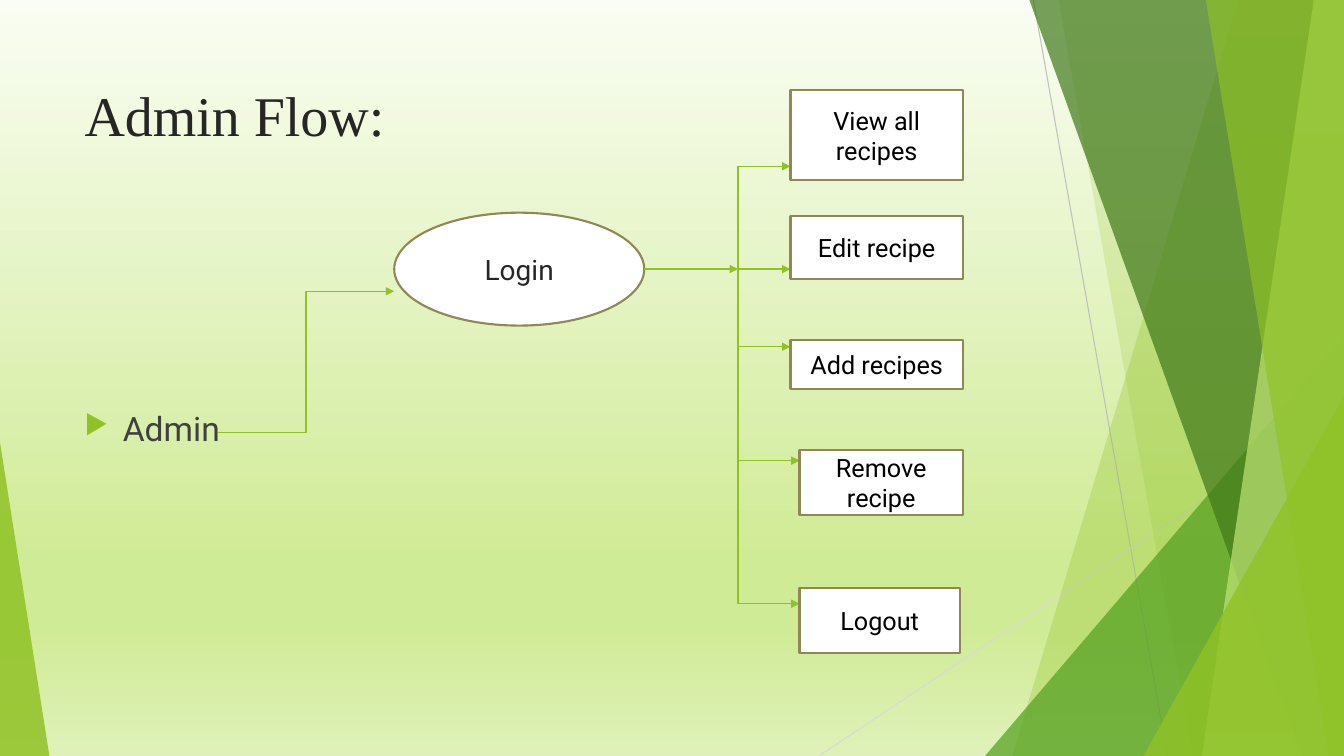
from dataclasses import dataclass
from typing import Any

from lxml import etree
from pptx import Presentation
from pptx.dml.color import RGBColor
from pptx.enum.shapes import MSO_CONNECTOR, MSO_SHAPE
from pptx.enum.text import MSO_ANCHOR, PP_ALIGN
from pptx.oxml.ns import qn
from pptx.util import Emu, Pt

PX = 9144
WIDTH, HEIGHT = 1333, 750
STRAIGHT, ELBOW = MSO_CONNECTOR.STRAIGHT, MSO_CONNECTOR.ELBOW
RECT, OVAL = MSO_SHAPE.RECTANGLE, MSO_SHAPE.OVAL
TRIANGLE = MSO_SHAPE.ISOSCELES_TRIANGLE
TOP, MIDDLE = MSO_ANCHOR.TOP, MSO_ANCHOR.MIDDLE
LEFT, CENTER = PP_ALIGN.LEFT, PP_ALIGN.CENTER


@dataclass(frozen=True)
class Theme:
    green: str = "90C226"
    leaf: str = "54A021"
    forest: str = "3F7819"
    lime: str = "C0E474"
    border: str = "918655"
    white: str = "FFFFFF"
    black: str = "000000"
    title: str = "262626"
    body: str = "404040"
    gray: str = "BFBFBF"
    light_gray: str = "D9D9D9"
    serif: str = "Times New Roman"
    sans: str = "Roboto"
    title_size: int = 40
    body_size: int = 24
    login_size: int = 20
    box_size: int = 18
    background: tuple[tuple[int, str], ...] = (
        (0, "FAFDF3"), (74, "D0EB96"), (83, "D0EB96"), (100, "DFF1B9"))


T = Theme()


@dataclass(frozen=True)
class Facet:
    top: int
    bottom: int
    color: str
    alpha: int


@dataclass(frozen=True)
class Corner:
    x: int
    y: int
    w: int
    apex: int
    color: str
    alpha: int


@dataclass(frozen=True)
class Label:
    text: str
    size: int
    font: str
    color: str


@dataclass(frozen=True)
class Step:
    text: str
    x: int
    y: int
    w: int
    h: int
    arrow_y: int


DECOR = (
    Facet(1228, 1004, T.green, 30),
    Facet(1050, 1183, T.green, 20),
    Corner(977, 333, 356, 1, T.leaf, 72),
    Facet(1021, 1291, T.forest, 70),
    Facet(1303, 1192, T.lime, 70),
    Facet(1196, 1318, T.green, 65),
    Corner(1134, 393, 199, 1, T.green, 80),
    Corner(0, 439, 49, 0, T.green, 85),
)
STEPS = (
    Step("View all recipes", 784, 89, 171, 90, 165),
    Step("Edit recipe", 784, 214, 171, 63, 267),
    Step("Add recipes", 784, 337, 171, 49, 344),
    Step("Remove recipe", 793, 446, 162, 65, 457),
    Step("Logout", 793, 583, 159, 65, 599),
)
TRUNK_X = 732
LOGIN_Y = 267


def px(*values: int) -> list[Emu]:
    return [Emu(v * PX) for v in values]


def apply(obj: Any, fmt: dict[str, Any]) -> None:
    for name, value in fmt.items():
        setattr(obj, name, value)


def rgb(color: str) -> RGBColor:
    return RGBColor.from_string(color)


def add_child(parent: Any, tag: str, **attrs: str) -> Any:
    return etree.SubElement(parent, qn(tag), attrs)


def paint_background(s: Any) -> None:
    fill = s.background.fill
    fill.gradient()
    fill.gradient_angle = 270
    stops = next(s.element.iter(qn("a:gsLst")))
    for stop in list(stops):
        stops.remove(stop)
    for pos, color in T.background:
        gs = add_child(stops, "a:gs", pos=str(pos * 1000))
        add_child(gs, "a:srgbClr", val=color)


def paint(sp: Any, color: str, alpha: int = 100) -> None:
    sp.shadow.inherit = False
    sp.fill.solid()
    sp.fill.fore_color.rgb = rgb(color)
    sp.line.fill.background()
    if alpha < 100:
        clr = next(sp.fill._xPr.iter(qn("a:srgbClr")))
        add_child(clr, "a:alpha", val=str(alpha * 1000))


def add_facet(s: Any, f: Facet) -> None:
    builder = s.shapes.build_freeform(f.top, 0, scale=PX)
    builder.add_line_segments([(WIDTH, 0), (WIDTH, HEIGHT), (f.bottom, HEIGHT)])
    paint(builder.convert_to_shape(), f.color, f.alpha)


def add_corner(s: Any, c: Corner) -> None:
    sp = s.shapes.add_shape(TRIANGLE, *px(c.x, c.y, c.w, HEIGHT - c.y))
    sp.adjustments[0] = c.apex
    paint(sp, c.color, c.alpha)


def add_line(s: Any, ends: tuple[int, int, int, int], color: str = T.green,
             width: float = 1, arrow: bool = False, kind: Any = STRAIGHT) -> None:
    cx = s.shapes.add_connector(kind, *px(*ends))
    cx.line.color.rgb = rgb(color)
    cx.line.width = Pt(width)
    if arrow:
        add_child(cx.line._get_or_add_ln(), "a:tailEnd", type="triangle")
    add_child(cx._element.spPr, "a:effectLst")


def write(sp: Any, label: Label, anchor: Any, align: Any) -> Any:
    tf = sp.text_frame
    apply(tf, {"word_wrap": True, "vertical_anchor": anchor})
    p = tf.paragraphs[0]
    p.alignment = align
    r = p.add_run()
    r.text = label.text
    apply(r.font, {"name": label.font, "size": Pt(label.size)})
    r.font.color.rgb = rgb(label.color)
    return p


def add_text(s: Any, box: tuple[int, int, int, int], inset: int, label: Label) -> Any:
    sp = s.shapes.add_textbox(*px(*box))
    sp.text_frame.margin_top = Emu(inset * PX)
    return write(sp, label, TOP, LEFT)


def add_bullet(p: Any) -> None:
    pPr = p._p.get_or_add_pPr()
    indent = 38 * PX
    pPr.set("marL", str(indent))
    pPr.set("indent", str(-indent))
    add_child(add_child(pPr, "a:buClr"), "a:srgbClr", val=T.green)
    add_child(pPr, "a:buSzPct", val="80000")
    add_child(pPr, "a:buChar", char="▶")


def add_node(s: Any, kind: Any, box: tuple[int, int, int, int], label: Label) -> None:
    sp = s.shapes.add_shape(kind, *px(*box))
    paint(sp, T.white)
    sp.line.color.rgb = rgb(T.border)
    sp.line.width = Pt(1.5)
    write(sp, label, MIDDLE, CENTER)


def main() -> None:
    prs = Presentation()
    apply(prs, dict(zip(("slide_width", "slide_height"), px(WIDTH, HEIGHT))))
    s = prs.slides.add_slide(prs.slide_layouts[6])
    paint_background(s)
    add_line(s, (1025, 0, 1158, HEIGHT), T.gray, 0.75)
    add_line(s, (WIDTH, 403, 812, HEIGHT), T.light_gray, 0.75)
    for item in DECOR:
        if isinstance(item, Facet):
            add_facet(s, item)
        else:
            add_corner(s, item)

    add_text(s, (74, 67, 940, 144), 13, Label("Admin Flow:", T.title_size, T.serif, T.title))
    add_bullet(add_text(s, (74, 236, 940, 424), 169,
                        Label("Admin", T.body_size, T.sans, T.body)))

    add_node(s, OVAL, (391, 211, 248, 112), Label("Login", T.login_size, T.sans, T.title))
    add_line(s, (639, LOGIN_Y, TRUNK_X, LOGIN_Y), arrow=True)
    add_line(s, (TRUNK_X, STEPS[0].arrow_y, TRUNK_X, STEPS[-1].arrow_y))
    for step in STEPS:
        add_line(s, (TRUNK_X, step.arrow_y, step.x, step.arrow_y), arrow=True)
        add_node(s, RECT, (step.x, step.y, step.w, step.h),
                 Label(step.text, T.box_size, T.sans, T.black))
    add_line(s, (216, 429, 391, 289), arrow=True, kind=ELBOW)
    prs.save("out.pptx")


if __name__ == "__main__":
    main()
